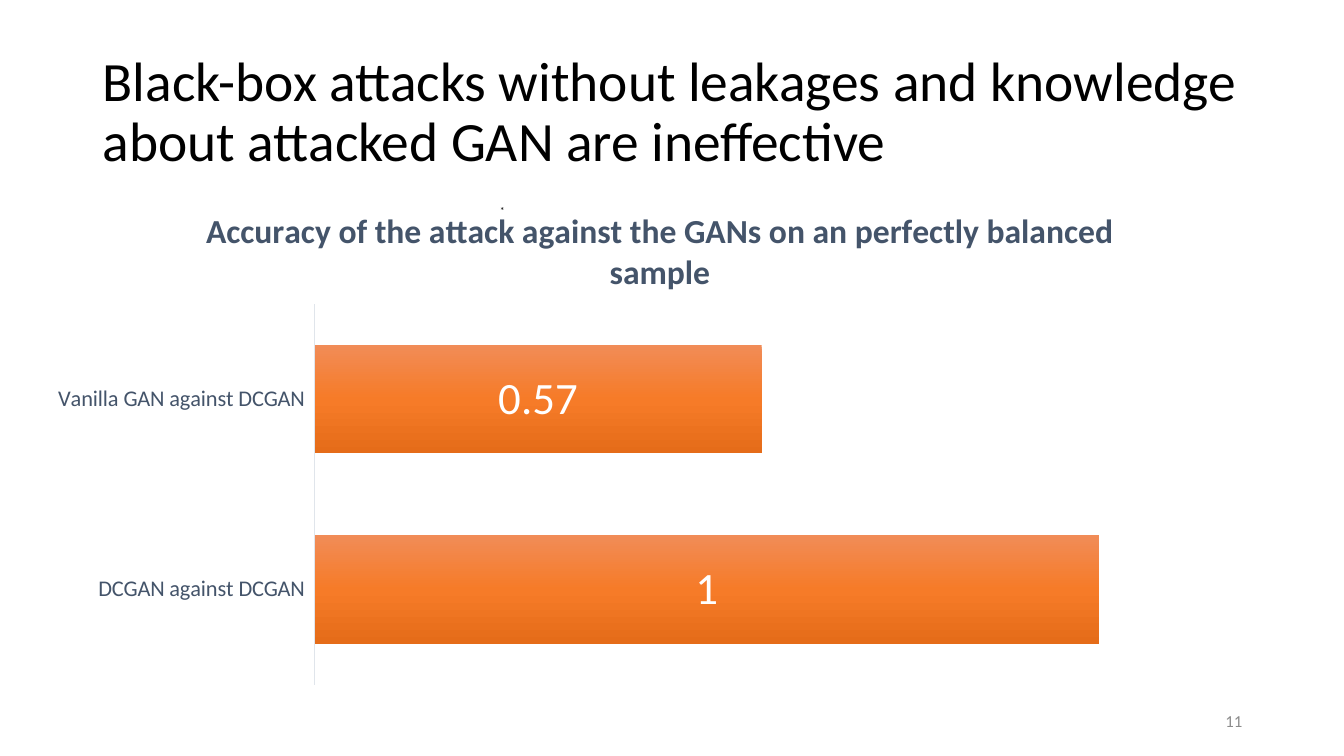
from dataclasses import dataclass

from pptx import Presentation
from pptx.chart.data import CategoryChartData
from pptx.dml.color import RGBColor
from pptx.enum.chart import XL_CHART_TYPE, XL_LABEL_POSITION, XL_TICK_LABEL_POSITION, XL_TICK_MARK
from pptx.enum.text import MSO_ANCHOR, MSO_AUTO_SIZE, PP_ALIGN
from pptx.oxml import parse_xml
from pptx.oxml.ns import nsdecls
from pptx.util import Inches, Pt

BAR_STACKED = XL_CHART_TYPE.BAR_STACKED
LABEL_CENTER = XL_LABEL_POSITION.CENTER
NO_TICK = XL_TICK_MARK.NONE
LABELS_LOW = XL_TICK_LABEL_POSITION.LOW
MIDDLE, TOP = MSO_ANCHOR.MIDDLE, MSO_ANCHOR.TOP
LEFT, RIGHT = PP_ALIGN.LEFT, PP_ALIGN.RIGHT
TITLE_ONLY = 5


@dataclass(frozen=True)
class Theme:
    font: str = "Calibri"
    ink: str = "000000"
    slate: str = "44546A"
    gray: str = "8C8C8C"
    axis: str = "E0E5EB"
    white: str = "FFFFFF"
    bar_stops: tuple = ((0, "F18C57"), (50, "F67B28"), (100, "E56C19"))
    title_size: float = 39.6
    chart_title_size: int = 24
    value_size: int = 32
    category_size: int = 16
    number_size: int = 12
    mark_size: int = 7


THEME = Theme()


def style_font(font, size, color, bold=False):
    font.name = THEME.font
    font.size = Pt(size)
    font.bold = bold
    font.color.rgb = RGBColor.from_string(color)


def place(shape, box):
    shape.left, shape.top, shape.width, shape.height = (Inches(length) for length in box)


def add_title(page, box, text):
    title = page.shapes.title
    place(title, box)
    frame = title.text_frame
    frame.text = text
    frame.word_wrap = True
    frame.auto_size = MSO_AUTO_SIZE.NONE
    frame.vertical_anchor = MIDDLE
    para = frame.paragraphs[0]
    para.alignment = LEFT
    para.line_spacing = 0.9
    style_font(para.font, THEME.title_size, THEME.ink)


def add_label(page, box, text, size, color, align=LEFT, anchor=TOP, wrap=True):
    label = page.shapes.add_textbox(*(Inches(length) for length in box))
    frame = label.text_frame
    frame.text = text
    frame.word_wrap = wrap
    frame.vertical_anchor = anchor
    para = frame.paragraphs[0]
    para.alignment = align
    style_font(para.font, size, color)


def fill_with_gradient(bar_format):
    """Give the bars a vertical gradient of three stops."""
    stops = "".join(
        f'<a:gs pos="{percent * 1000}"><a:srgbClr val="{color}"/></a:gs>'
        for percent, color in THEME.bar_stops
    )
    bar_format.fill.gradient()
    gradient = bar_format.fill._xPr.find(".//{*}gradFill")
    gradient.getparent().replace(gradient, parse_xml(
        f'<a:gradFill {nsdecls("a")} rotWithShape="1"><a:gsLst>{stops}</a:gsLst>'
        '<a:lin ang="5400000" scaled="0"/></a:gradFill>'
    ))


def set_plot_area(chart, left, top, width, height):
    """Fix the inner plot area, in fractions of the chart."""
    plot_area = chart._chartSpace.chart.plotArea
    for old in plot_area.findall("{*}layout"):
        plot_area.remove(old)
    sizes = "".join(
        f'<c:{name} val="{value}"/>'
        for name, value in (("x", left), ("y", top), ("w", width), ("h", height))
    )
    plot_area.insert(0, parse_xml(
        f'<c:layout {nsdecls("c")}><c:manualLayout><c:layoutTarget val="inner"/>'
        f'<c:xMode val="edge"/><c:yMode val="edge"/>{sizes}</c:manualLayout></c:layout>'
    ))


def add_accuracy_chart(page, box, title, accuracies):
    data = CategoryChartData()
    data.categories = list(accuracies)
    data.add_series("Series 1", list(accuracies.values()))
    chart = page.shapes.add_chart(
        BAR_STACKED, *(Inches(length) for length in box), data
    ).chart
    style_font(chart.font, THEME.category_size, THEME.slate)
    chart.has_legend = False
    chart.has_title = True
    chart.chart_title.include_in_layout = False
    heading = chart.chart_title.text_frame
    heading.text = title
    style_font(heading.paragraphs[0].font, THEME.chart_title_size, THEME.slate, bold=True)

    categories = chart.category_axis
    categories.major_tick_mark = categories.minor_tick_mark = NO_TICK
    categories.tick_label_position = LABELS_LOW
    categories.format.line.color.rgb = RGBColor.from_string(THEME.axis)
    categories.format.line.width = Pt(0.75)
    style_font(categories.tick_labels.font, THEME.category_size, THEME.slate)

    values = chart.value_axis
    values.minimum_scale, values.maximum_scale = 0, 1.2
    values.has_major_gridlines = False
    values.visible = False

    plot = chart.plots[0]
    plot.gap_width, plot.overlap = 75, 100
    plot.vary_by_categories = False
    plot.has_data_labels = True
    labels = plot.data_labels
    labels.show_value = True
    labels.position = LABEL_CENTER
    style_font(labels.font, THEME.value_size, THEME.white)
    fill_with_gradient(plot.series[0].format)
    set_plot_area(chart, 0.222, 0.23, 0.758, 0.747)


def build_results_page(deck):
    page = deck.slides.add_slide(deck.slide_layouts[TITLE_ONLY])
    add_title(page, (0.92, 0.4, 11.5, 1.45),
              "Black-box attacks without leakages and knowledge about attacked GAN are ineffective")
    add_label(page, (9.42, 6.95, 3, 0.4), "11", THEME.number_size, THEME.gray,
              align=RIGHT, anchor=MIDDLE)
    add_label(page, (4.86, 1.98, 0.25, 0.22), "*", THEME.mark_size, THEME.ink, wrap=False)
    add_accuracy_chart(page, (0.39, 1.85, 12.31, 5.06),
                       "Accuracy of the attack against the GANs on an perfectly balanced sample",
                       {"DCGAN against DCGAN": 1, "Vanilla GAN against DCGAN": 0.57})


def main():
    deck = Presentation()
    deck.slide_width, deck.slide_height = Inches(13.33), Inches(7.5)
    build_results_page(deck)
    deck.save("out.pptx")


if __name__ == "__main__":
    main()
